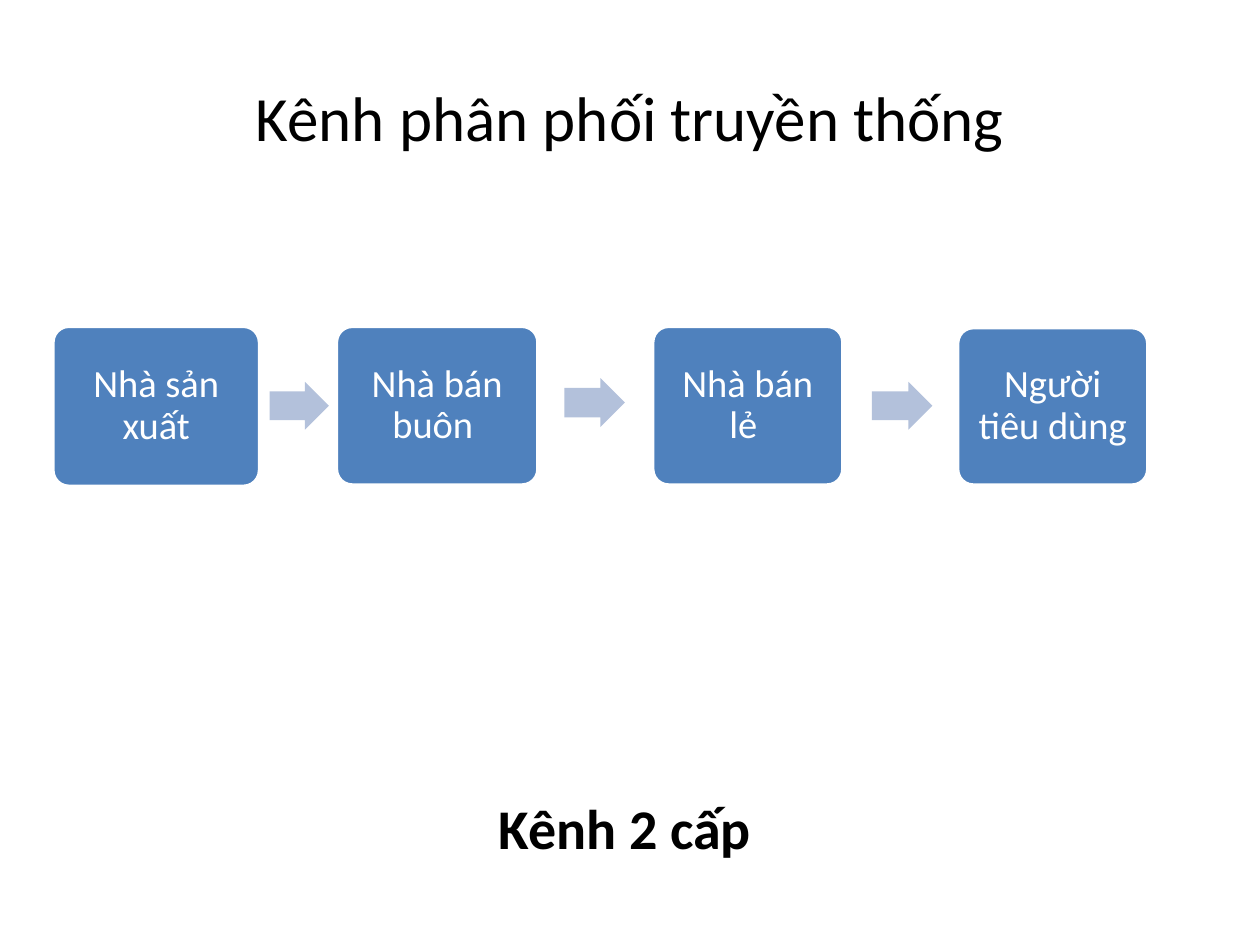
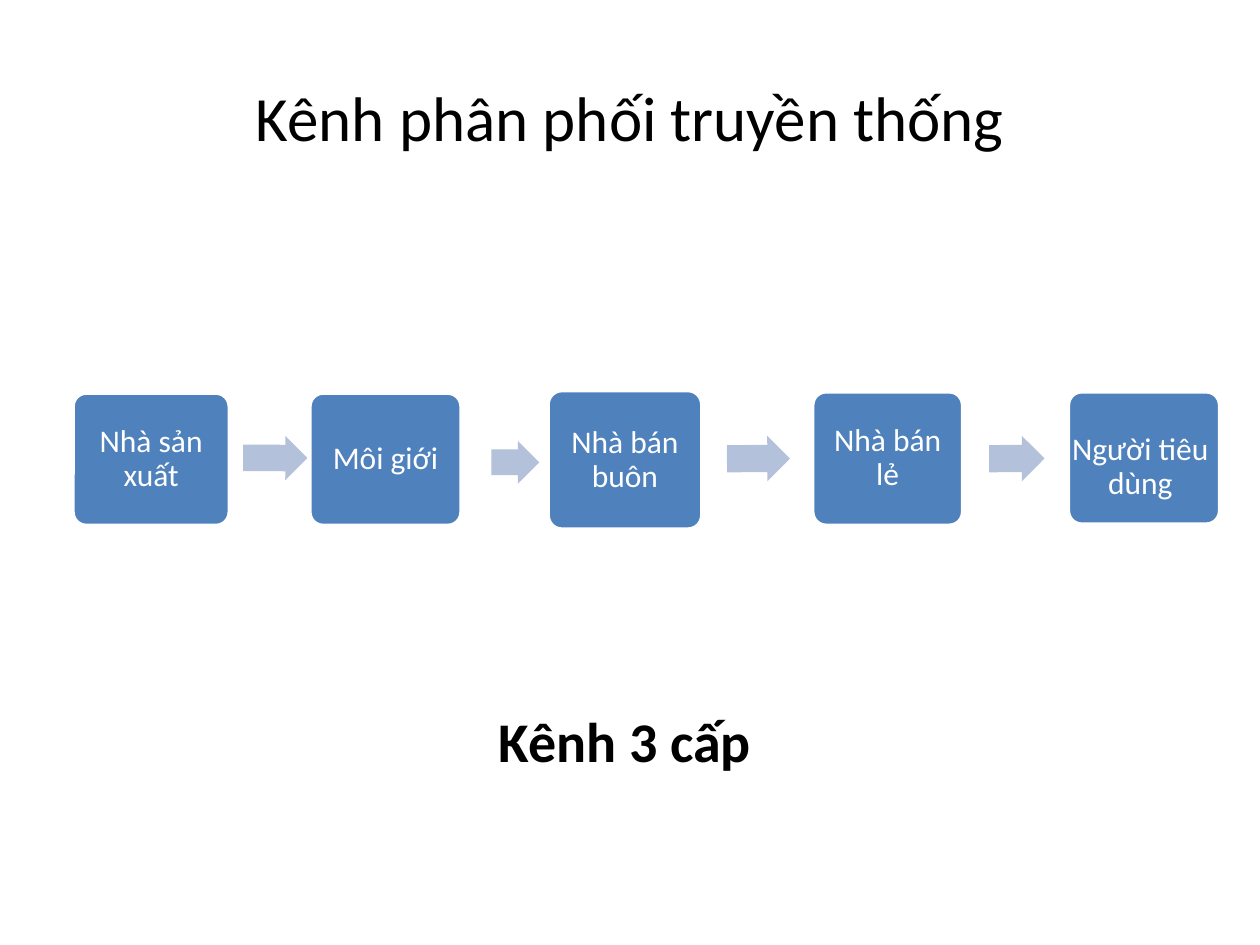
import pptx
import pptx.dml.color
import pptx.enum.shapes
import pptx.enum.text
import pptx.util

PX = 9144  # one px is a hundredth of an inch

FONT = "Calibri"
BLACK, WHITE = "000000", "FFFFFF"
STAGE_FILL, ARROW_FILL = "4F81BD", "B3C1DB"
TITLE = "Kênh phân phối truyền thống"
TITLE_BOX = (50, 30, 900, 125)

SHAPES = pptx.enum.shapes.MSO_SHAPE
MIDDLE = pptx.enum.text.MSO_ANCHOR.MIDDLE
TOP = pptx.enum.text.MSO_ANCHOR.TOP

# Each channel: stages as (text, box) and arrows as (box, rotation)
TWO_LEVELS = {
    "size": 22,
    "inset": 13,
    "stages": [
        ("Nhà sản xuất", (42, 259, 164, 127)),
        ("Nhà bán buôn ", (267, 259, 160, 126)),
        ("Nhà bán lẻ ", (518, 259, 151, 126)),
        ("Người tiêu dùng", (760, 260, 151, 125)),
    ],
    "arrows": [
        ((214, 303, 47, 38), 0),
        ((448, 300, 48, 39), 0),
        ((692, 303, 48, 38), 0),
    ],
    "caption": ("Kênh 2 cấp", (375, 625, 242, 64)),
}
THREE_LEVELS = {
    "size": 18,
    "inset": 10,
    "stages": [
        ("Nhà sản xuất", (58, 312, 124, 105)),
        ("Môi giới", (246, 312, 120, 105)),
        ("Nhà bán buôn", (435, 310, 122, 110)),
        ("Nhà bán lẻ", (645, 311, 119, 106)),
        ("", (848, 311, 120, 105)),
    ],
    "arrows": [
        ((193, 346, 51, 35), 0.2),
        ((390, 350, 38, 34), 0.1),
        ((577, 346, 50, 36), 359.8),
        ((785, 346, 44, 36), 359.7),
    ],
    "caption": ("Kênh 3 cấp", (342, 556, 308, 64)),
}
# The last stage of the longer channel has a label wider than its box
CONSUMER_LABEL = ("Người tiêu dùng", (833, 308, 144, 125))


def color(hex_string):
    return pptx.dml.color.RGBColor.from_string(hex_string)


def emu(box):
    return [pptx.util.Emu(length * PX) for length in box]


def write(shape, text, size, fill, anchor=MIDDLE, inset=None, bold=False, spacing=None):
    frame = shape.text_frame
    frame.word_wrap = True
    frame.vertical_anchor = anchor
    if inset is not None:
        frame.margin_left = frame.margin_right = inset * PX
        frame.margin_top = frame.margin_bottom = inset * PX
    para = frame.paragraphs[0]
    para.text = text
    para.alignment = pptx.enum.text.PP_ALIGN.CENTER
    para.line_spacing = spacing
    para.font.name = FONT
    para.font.size = pptx.util.Pt(size)
    para.font.bold = bold
    para.font.color.rgb = color(fill)


def add_text(page, box, text, size, fill, **style):
    write(page.shapes.add_textbox(*emu(box)), text, size, fill, **style)


def add_block(page, kind, box, fill, adjustments):
    block = page.shapes.add_shape(kind, *emu(box))
    block.shadow.inherit = False
    block.fill.solid()
    block.fill.fore_color.rgb = color(fill)
    block.line.fill.background()
    for index, value in enumerate(adjustments):
        block.adjustments[index] = value
    return block


def add_stage(page, box, text, size, inset):
    stage = add_block(page, SHAPES.ROUNDED_RECTANGLE, box, STAGE_FILL, [0.1])
    stage.line.color.rgb = color(WHITE)
    stage.line.width = pptx.util.Pt(2)
    if text:
        write(stage, text, size, WHITE, inset=inset, spacing=0.9)


def add_arrow(page, box, rotation):
    arrow = add_block(page, SHAPES.RIGHT_ARROW, box, ARROW_FILL, [0.6, 0.5])
    arrow.rotation = rotation


def add_channel_page(deck, channel):
    page = deck.slides.add_slide(deck.slide_layouts[6])
    # Title
    add_text(page, TITLE_BOX, TITLE, 36, BLACK)
    # Chain of stages and arrows
    for text, box in channel["stages"]:
        add_stage(page, box, text, channel["size"], channel["inset"])
    for box, rotation in channel["arrows"]:
        add_arrow(page, box, rotation)
    # Caption
    text, box = channel["caption"]
    add_text(page, box, text, 32, BLACK, anchor=TOP, bold=True)
    return page


def main():
    deck = pptx.Presentation()
    deck.slide_width, deck.slide_height = emu((1000, 750))
    add_channel_page(deck, TWO_LEVELS)
    page = add_channel_page(deck, THREE_LEVELS)
    text, box = CONSUMER_LABEL
    add_text(page, box, text, THREE_LEVELS["size"], WHITE, inset=9, spacing=0.9)
    deck.save("out.pptx")


if __name__ == "__main__":
    main()
